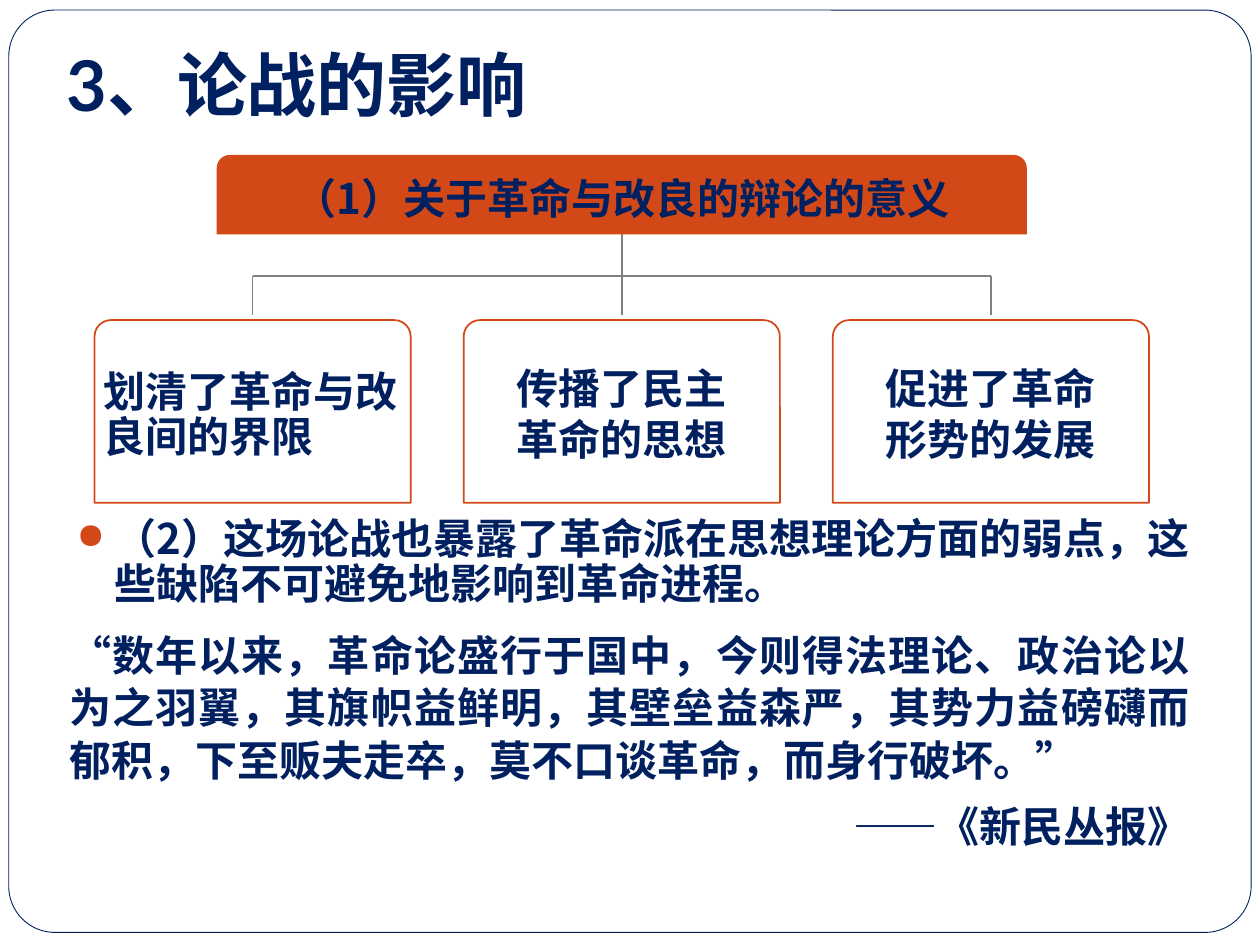
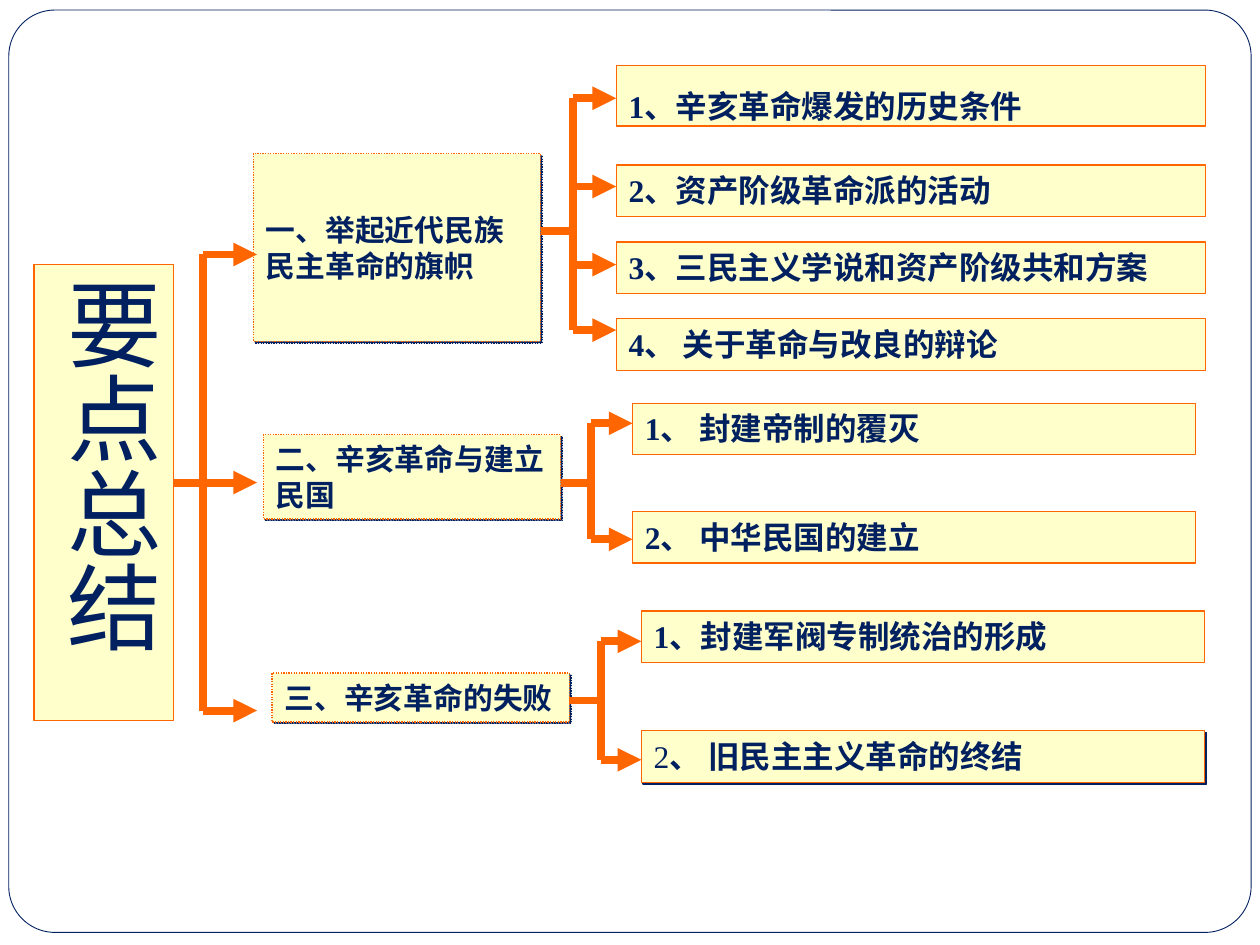
"""Build two history slides: the effects of a debate and a summary tree."""
from dataclasses import dataclass, field
from typing import Any, NamedTuple

from lxml import etree
from pptx import Presentation
from pptx.dml.color import RGBColor
from pptx.enum.dml import MSO_LINE
from pptx.enum.lang import MSO_LANGUAGE_ID
from pptx.enum.shapes import MSO_CONNECTOR, MSO_SHAPE
from pptx.enum.text import MSO_ANCHOR, PP_ALIGN
from pptx.oxml.ns import qn
from pptx.util import Inches, Pt

RECT, ROUND = MSO_SHAPE.RECTANGLE, MSO_SHAPE.ROUNDED_RECTANGLE
TAB = MSO_SHAPE.ROUND_2_SAME_RECTANGLE
LINE, DOTS = MSO_CONNECTOR.STRAIGHT, MSO_LINE.ROUND_DOT
TOP, MIDDLE = MSO_ANCHOR.TOP, MSO_ANCHOR.MIDDLE
LEFT, CENTER = PP_ALIGN.LEFT, PP_ALIGN.CENTER
RIGHT, FULL = PP_ALIGN.RIGHT, PP_ALIGN.JUSTIFY
CHINESE = MSO_LANGUAGE_ID.SIMPLIFIED_CHINESE

COLORS = {"navy": "002060", "white": "FFFFFF", "rust": "D34817",
          "gray": "808080", "cream": "FFFFCC", "orange": "FF6600"}
SANS, HAN, LATO, SERIF = "Noto Sans CJK SC", "Noto Sans CJK JP", "Lato", "Times New Roman"
COLS, ROWS = 100, 75
WIDTH, HEIGHT = Inches(10), Inches(7.5)


class Box(NamedTuple):
    """A place on the grid, in columns and rows."""
    left: float
    top: float
    width: float
    height: float


class Run(NamedTuple):
    """A stretch of text."""
    text: str
    bold: bool = True


@dataclass
class Style:
    """Format values for a text frame, its paragraphs and its runs."""
    font: dict[str, Any]
    para: dict[str, Any] = field(default_factory=dict)
    frame: dict[str, Any] = field(default_factory=dict)


@dataclass
class Look:
    """Fill and outline of a shape."""
    fill: str | None = None
    line: str | None = None
    width: float = 0.75
    dots: bool = False
    shade: bool = False


@dataclass
class Leaf:
    """A point of the summary, with the row its arrow reaches."""
    runs: list[Run]
    top: float
    tip: float
    height: float = 4.1
    shade: bool = False
    pitch: float = 1.0


@dataclass
class Branch:
    """A heading with the points that fan out from it."""
    text: str
    box: Box
    stem: float
    spine: float
    left: float
    width: float
    leaves: list[Leaf]


def inset(left: float, top: float, right: float, base: float) -> dict[str, Any]:
    """Return frame margins given in inches."""
    sides = ("left", "top", "right", "bottom")
    return {f"margin_{s}": Inches(v) for s, v in zip(sides, (left, top, right, base))}


PLAIN = Look()
CARD = Look("white", "rust", 1)
NOTE = Look("cream", "orange")
HEAD = Look("cream", "orange", dots=True, shade=True)

BODY = {"name": HAN, "size": Pt(24)}
TITLE = Style({"name": LATO, "size": Pt(40)})
BANNER = Style(BODY, {"alignment": CENTER, "line_spacing": Pt(30)},
               {"vertical_anchor": MIDDLE, **inset(0.28, 0.2, 0.28, 0.2)})
QUOTE = Style(BODY, {"alignment": FULL, "line_spacing": Pt(30)})
BULLET = Style(BODY, {"line_spacing": 0.9})
ROOT = Style({"name": SANS, "size": Pt(54)}, {"alignment": CENTER})
TOPIC = Style({"name": SANS, "size": Pt(17)}, {}, {"vertical_anchor": MIDDLE})

RESULTS = [(["划清了革命与改良间的界限"], LEFT),
           (["传播了民主", "革命的思想"], CENTER),
           (["促进了革命", "形势的发展"], CENTER)]

BRANCHES = [
    Branch("一、举起近代民族民主革命的旗帜", Box(20.1, 12.2, 22.8, 14.9), 18.3, 45.5, 48.9, 46.8, [
        Leaf([Run("1、辛亥革命爆发的历史条件")], 5.2, 7.8, 4.8, pitch=1.4),
        Leaf([Run("2、资产阶级革命派的活动")], 13.1, 14.8),
        Leaf([Run("3、三民主义学说和资产阶级共和方案")], 19.2, 21),
        Leaf([Run("4、 关于革命与改良的辩论")], 25.3, 26.2)]),
    Branch("二、辛亥革命与建立民国", Box(20.9, 34.5, 23.6, 6.7), 38.3, 46.9, 50.2, 44.7, [
        Leaf([Run("1、 封建帝制的覆灭")], 32, 33.6),
        Leaf([Run("2、 中华民国的建立")], 40.6, 42.8)]),
    Branch("三、辛亥革命的失败", Box(21.6, 53.4, 23.6, 3.9), 55.6, 47.7, 50.9, 44.7, [
        Leaf([Run("1、封建军阀专制统治的形成")], 48.5, 50.9),
        Leaf([Run("2", False), Run("、 旧民主主义革命的终结")], 58, 60.3, shade=True)]),
]


def col(count: float) -> int:
    """Turn columns into a length."""
    return round(WIDTH * count / COLS)


def row(count: float) -> int:
    """Turn rows into a length."""
    return round(HEIGHT * count / ROWS)


def tint(name: str) -> RGBColor:
    """Look up a colour by name."""
    return RGBColor.from_string(COLORS[name])


def apply(target: Any, values: dict[str, Any]) -> None:
    """Set each format value on the target."""
    for name, value in values.items():
        setattr(target, name, value)


def child(parent: Any, tag: str, **attrs: str) -> Any:
    """Add a drawing element to the parent."""
    return etree.SubElement(parent, qn(f"a:{tag}"), attrs)


def paint(shape: Any, look: Look) -> None:
    """Give a shape its fill, outline and shadow."""
    shape.shadow.inherit = False
    if look.fill:
        shape.fill.solid()
        shape.fill.fore_color.rgb = tint(look.fill)
    else:
        shape.fill.background()
    if look.line:
        shape.line.color.rgb = tint(look.line)
        shape.line.width = Pt(look.width)
        if look.dots:
            shape.line.dash_style = DOTS
    else:
        shape.line.fill.background()
    if look.shade:
        effects = shape._element.spPr.find(qn("a:effectLst"))
        cast = child(effects, "outerShdw", dist=str(Pt(1.4)), dir="2700000", algn="tl")
        child(cast, "srgbClr", val=COLORS["navy"])


def draw(slide: Any, kind: Any, box: Box, look: Look) -> Any:
    """Place a shape on the grid."""
    shape = slide.shapes.add_shape(kind, col(box.left), row(box.top),
                                   col(box.width), row(box.height))
    paint(shape, look)
    return shape


def write(shape: Any, lines: list[list[Run]], style: Style) -> Any:
    """Fill a shape with styled paragraphs and return its frame."""
    frame = shape.text_frame
    apply(frame, {"word_wrap": True, "vertical_anchor": TOP, **style.frame})
    for index, line in enumerate(lines):
        para = frame.paragraphs[0] if index == 0 else frame.add_paragraph()
        apply(para, {"alignment": LEFT, **style.para})
        for part in line:
            run = para.add_run()
            run.text = part.text
            apply(run.font, {**style.font, "bold": part.bold, "language_id": CHINESE})
            run.font.color.rgb = tint("navy")
            child(run.font._element, "ea", typeface=HAN if style.font["name"] == HAN else SANS)
    return frame


def link(slide: Any, start: tuple[float, float], end: tuple[float, float],
         color: str, width: float, arrow: bool = False) -> None:
    """Draw a line, with an arrowhead if asked."""
    line = slide.shapes.add_connector(LINE, col(start[0]), row(start[1]),
                                      col(end[0]), row(end[1]))
    line.line.color.rgb = tint(color)
    line.line.width = Pt(width)
    props = line._element.spPr
    if arrow:
        child(props.find(qn("a:ln")), "tailEnd", type="triangle")
    child(props, "effectLst")


def fan(slide: Any, left: float, stem: float, spine: float,
        right: float, tips: list[float]) -> None:
    """Draw a stem, a spine and an arrow to each tip."""
    link(slide, (left, stem), (spine, stem), "orange", 4.5)
    link(slide, (spine, min(tips)), (spine, max(tips)), "orange", 4.5)
    for tip in tips:
        link(slide, (spine, tip), (right, tip), "orange", 4.5, True)


def start(deck: Any) -> Any:
    """Add a blank slide with the rounded frame."""
    slide = deck.slides.add_slide(deck.slide_layouts[6])
    frame = draw(slide, ROUND, Box(0.7, 0.8, 98.6, 73.2), Look("white", "navy", 0.5))
    frame.adjustments[0] = 0.05
    return slide


def chart(slide: Any) -> None:
    """Draw the banner and the three results below it."""
    width, pitch, left = 25.1, 29.3, 7.5
    mids = [left + pitch * n + width / 2 for n in range(len(RESULTS))]
    link(slide, (mids[1], 16.2), (mids[1], 25), "gray", 1)
    link(slide, (mids[0], 21.9), (mids[2], 21.9), "gray", 1)
    for mid, (lines, align) in zip(mids, RESULTS):
        if mid != mids[1]:
            link(slide, (mid, 21.9), (mid, 25), "gray", 1)
        card = draw(slide, TAB, Box(mid - width / 2, 25.4, width, 14.5), CARD)
        card.adjustments[0] = 0.09
        style = Style({"name": SERIF, "size": Pt(24)},
                      {"alignment": align, "line_spacing": 0.9, "space_after": Pt(3.6)},
                      {"vertical_anchor": MIDDLE, **inset(0.03, 0.08, 0.03, 0.04)})
        write(card, [[Run(line)] for line in lines], style)
    banner = draw(slide, TAB, Box(17.2, 12.3, 64.3, 6.3), Look("rust"))
    write(banner, [[Run("（1）关于革命与改良的辩论的意义")]], BANNER)


def effects(deck: Any) -> None:
    """Build the slide on the effects of the debate."""
    slide = start(deck)
    write(draw(slide, RECT, Box(4.3, 2.8, 89.8, 7.9), PLAIN), [[Run("3、论战的影响")]], TITLE)
    chart(slide)
    quote = write(draw(slide, RECT, Box(4.5, 49.3, 90.9, 19), PLAIN), [
        [Run("“数年以来，革命论盛行于国中，今则得法理论、政治论以为之羽翼，其旗帜益鲜明，"
             "其壁垒益森严，其势力益磅礴而郁积，下至贩夫走卒，莫不口谈革命，而身行破坏。”")],
        [Run("——《新民丛报》")]], QUOTE)
    apply(quote.paragraphs[1], {"alignment": RIGHT, "space_before": Pt(8)})
    point = write(draw(slide, RECT, Box(5.1, 40.6, 93.2, 8.7), Look("white")), [
        [Run("（2）这场论战也暴露了革命派在思想理论方面的弱点，这些缺陷不可避免地影响到革命进程。")]],
        BULLET)
    props = point.paragraphs[0]._p.get_or_add_pPr()
    props.set("marL", str(Inches(0.3)))
    props.set("indent", str(-Inches(0.3)))
    child(child(props, "buClr"), "srgbClr", val=COLORS["rust"])
    child(props, "buSzPct", val="85000")
    child(props, "buChar", char="●")


def summary(deck: Any) -> None:
    """Build the tree of main points."""
    slide = start(deck)
    root = draw(slide, RECT, Box(2.7, 21, 11.1, 36.2), NOTE)
    frame = write(root, [[Run("要点总结", False)]], ROOT)
    frame._txBody.bodyPr.set("vert", "eaVert")
    for branch in BRANCHES:
        write(draw(slide, RECT, branch.box, HEAD), [[Run(branch.text)]], TOPIC)
        for leaf in branch.leaves:
            box = Box(branch.left, leaf.top, branch.width, leaf.height)
            look = Look("cream", "orange", shade=leaf.shade)
            style = Style({"name": SERIF, "size": Pt(18)}, {"line_spacing": leaf.pitch})
            write(draw(slide, RECT, box, look), [leaf.runs], style)
        fan(slide, branch.box.left + branch.box.width, branch.stem, branch.spine,
            branch.left, [leaf.tip for leaf in branch.leaves])
    fan(slide, 13.8, 38.3, 16.1, 20.4, [20.2, 38.3, 56.4])


def main() -> None:
    """Build and save the deck."""
    deck = Presentation()
    apply(deck, {"slide_width": WIDTH, "slide_height": HEIGHT})
    effects(deck)
    summary(deck)
    deck.save("out.pptx")


if __name__ == "__main__":
    main()
